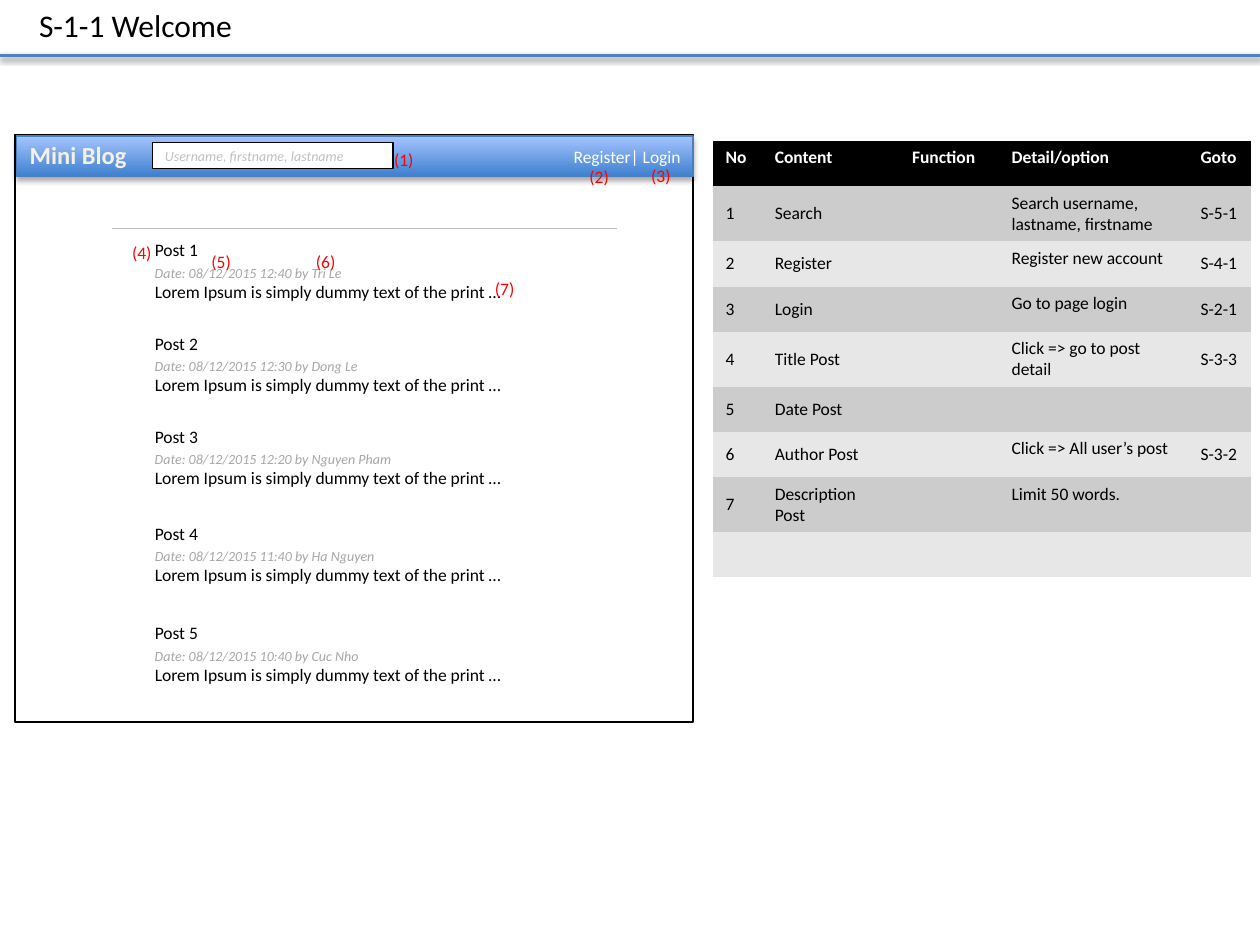
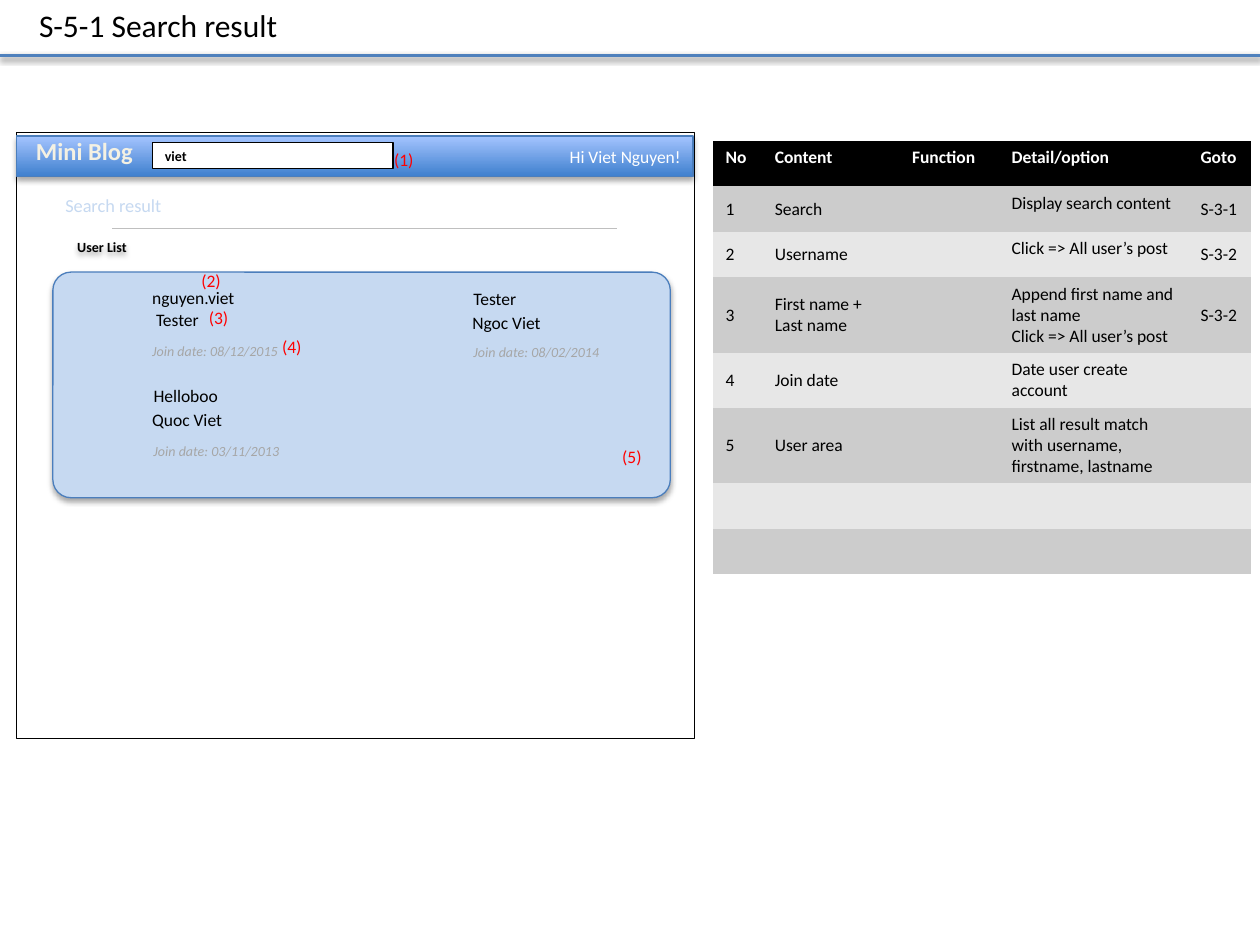
"""Build two annotated screen specifications for a small blog."""

from lxml.etree import SubElement
from pptx import Presentation
from pptx.dml.color import RGBColor
from pptx.enum.shapes import MSO_CONNECTOR, MSO_SHAPE
from pptx.enum.text import MSO_ANCHOR, MSO_AUTO_SIZE, PP_ALIGN
from pptx.oxml.ns import qn
from pptx.util import Inches, Pt

FONT = "Calibri"
BLACK, WHITE, RED = "000000", "FFFFFF", "FF0000"
RULE_BLUE, EDGE_BLUE, PALE_BLUE = "4F81BD", "4B7EBC", "C6D9F1"
BAR_BOTTOM, BAR_TOP = "3F80CE", "A4C4FF"
BRAND_CREAM, BRAND_OUTLINE = "F4F1E3", "054697"
NOTE_GRAY, HINT_GRAY = "A6A6A6", "BFBFBF"
ROW_FILLS = ("CCCCCC", "E7E7E7")
PLAIN_TABLE_STYLE = "{2D5ABB26-0587-4C30-8999-92F81FD0307C}"

TABLE_HEADER = ("No", "Content", "Function", "Detail/option", "Goto")
COLUMN_WIDTHS = (0.39, 1.09, 0.79, 1.5, 0.5)
ROW_HEIGHT = 0.36
DETAIL_COLUMN = 3

WELCOME_ROWS = (
    ("1", "Search", "", "Search username, lastname, firstname", "S-5-1"),
    ("2", "Register", "", "Register new account", "S-4-1"),
    ("3", "Login", "", "Go to page login", "S-2-1"),
    ("4", "Title Post", "", "Click => go to post detail", "S-3-3"),
    ("5", "Date Post", "", "", ""),
    ("6", "Author Post", "", "Click => All user’s post", "S-3-2"),
    ("7", "Description Post", "", "Limit 50 words.", ""),
    ("",) * 5,
)
SEARCH_ROWS = (
    ("1", "Search", "", "Display search content", "S-3-1"),
    ("2", "Username", "", "Click => All user’s post", "S-3-2"),
    ("3", "First name + Last name", "",
     "Append first name and last name\nClick => All user’s post", "S-3-2"),
    ("4", "Join date", "", "Date user create account", ""),
    ("5", "User area", "",
     "List all result match with username, firstname, lastname", ""),
    ("",) * 5,
    ("",) * 5,
)
POSTS = (
    (1.85, "12:40 by Tri Le", 1.74),
    (2.59, "12:30 by Dong Le", 1.86),
    (3.33, "12:20 by Nguyen Pham", 2.13),
    (4.10, "11:40 by Ha Nguyen", 1.99),
    (4.89, "10:40 by Cuc Nho", 1.87),
)
POST_SUMMARY = "Lorem Ipsum is simply dummy text of the print …"
WELCOME_MARKS = ((3.03, 1.13), (4.58, 1.27), (5.07, 1.26), (0.95, 1.87),
                 (1.58, 1.94), (2.41, 1.94), (3.83, 2.16))
SEARCH_MARKS = ((3.03, 1.13), (1.5, 2.09), (1.56, 2.39), (2.14, 2.62),
                (4.84, 3.49))
USERS = (
    (("nguyen.viet", 1.11, 2.23, 0.89), ("Tester", 1.14, 2.40, 0.74),
     ("Join date: 08/12/2015", 1.11, 2.67)),
    (("Tester", 3.66, 2.24, 0.56), ("Ngoc Viet", 3.65, 2.43, 1.19),
     ("Join date: 08/02/2014", 3.66, 2.68)),
    (("Helloboo", 1.12, 3.01, 0.72), ("Quoc Viet", 1.11, 3.20, 1.22),
     ("Join date: 03/11/2013", 1.12, 3.46)),
)


def rgb(color):
    """Turn a hex string into a colour."""
    return RGBColor.from_string(color)


def write_text(frame, text, *, size=10, color=BLACK, bold=False, italic=False,
               align=PP_ALIGN.LEFT, anchor=MSO_ANCHOR.TOP):
    """Fill a text frame with evenly formatted paragraphs."""
    frame.vertical_anchor = anchor
    for index, line in enumerate(text.split("\n")):
        paragraph = frame.add_paragraph() if index else frame.paragraphs[0]
        paragraph.alignment = align
        run = paragraph.add_run()
        run.text = line
        run.font.name, run.font.size = FONT, Pt(size)
        run.font.bold, run.font.italic = bold, italic
        run.font.color.rgb = rgb(color)


def add_label(shapes, text, left, top, width, height=0.27, wrap=False, **style):
    """Add a text box that fits its text."""
    box = shapes.add_textbox(Inches(left), Inches(top), Inches(width), Inches(height))
    write_text(box.text_frame, text, **style)
    box.text_frame.word_wrap = wrap
    box.text_frame.auto_size = MSO_AUTO_SIZE.SHAPE_TO_FIT_TEXT
    return box


def add_note(shapes, text, left, top, width):
    """Add a small gray italic note."""
    add_label(shapes, text, left, top, width, 0.24, size=8, color=NOTE_GRAY, italic=True)


def add_marks(slide, positions):
    """Number the given positions in red."""
    for number, (left, top) in enumerate(positions, start=1):
        add_label(slide.shapes, f"({number})", left, top, 0.36, color=RED)


def cast_shadow(effects, alpha, distance):
    """Put a soft downward shadow in an effect list."""
    shadow = SubElement(effects, qn("a:outerShdw"), blurRad=str(Pt(3.1)),
                        dist=str(Pt(distance)), dir="5400000", rotWithShape="0")
    color = SubElement(shadow, qn("a:srgbClr"), val=BLACK)
    SubElement(color, qn("a:alpha"), val=str(alpha * 1000))


def add_box(slide, left, top, width, height, *, kind=MSO_SHAPE.RECTANGLE,
            fill=WHITE, line=BLACK, shadow=False):
    """Add a preset shape with an optional fill, outline and shadow."""
    shape = slide.shapes.add_shape(kind, Inches(left), Inches(top),
                                   Inches(width), Inches(height))
    if fill:
        shape.fill.solid()
        shape.fill.fore_color.rgb = rgb(fill)
    else:
        shape.fill.background()
    if line:
        shape.line.color.rgb = rgb(line)
        shape.line.width = Pt(0.75)
    else:
        shape.line.fill.background()
    shape.shadow.inherit = False
    if shadow:
        cast_shadow(shape._element.spPr.find(qn("a:effectLst")), 35, 1.8)
    return shape


def add_rule(slide, left, right, top, color, width, shadow=False):
    """Add a horizontal line."""
    rule = slide.shapes.add_connector(MSO_CONNECTOR.STRAIGHT, Inches(left), Inches(top),
                                      Inches(right), Inches(top))
    rule.line.color.rgb = rgb(color)
    rule.line.width = Pt(width)
    effects = SubElement(rule._element.spPr, qn("a:effectLst"))
    if shadow:
        cast_shadow(effects, 38, 1.6)


def add_title(slide, text):
    """Place the slide title above its blue rule."""
    title = slide.shapes.title
    title.left, title.top = Inches(0.21), Inches(0)
    title.width, title.height = Inches(5), Inches(0.4)
    write_text(title.text_frame, text, size=18)
    title.text_frame.auto_size = MSO_AUTO_SIZE.NONE
    add_rule(slide, 0, 10, 0.44, RULE_BLUE, 2, shadow=True)


def add_brand(slide, left, top):
    """Add the outlined blog name."""
    brand = add_label(slide.shapes, "Mini Blog", left, top, 0.98, 0.34, size=14,
                      color=BRAND_CREAM, bold=True, align=PP_ALIGN.CENTER)
    properties = brand.text_frame.paragraphs[0].runs[0].font._element
    outline = SubElement(properties, qn("a:ln"), w=str(Pt(1)))
    fill = SubElement(outline, qn("a:solidFill"))
    SubElement(fill, qn("a:srgbClr"), val=BRAND_OUTLINE)
    properties.insert(0, outline)


def add_header(slide, account, brand_position, query, **query_style):
    """Add the gradient bar with brand, search field and account text."""
    bar = add_box(slide, 0.13, 1.08, 5.37, 0.32, line=EDGE_BLUE, shadow=True)
    bar.fill.gradient()
    bar.fill.gradient_angle = 90
    for stop, color in zip(bar.fill.gradient_stops, (BAR_BOTTOM, BAR_TOP)):
        stop.color.rgb = rgb(color)
    write_text(bar.text_frame, account, color=WHITE, align=PP_ALIGN.RIGHT,
               anchor=MSO_ANCHOR.MIDDLE)
    add_brand(slide, *brand_position)
    field = add_box(slide, 1.21, 1.13, 1.91, 0.21)
    write_text(field.text_frame, query, size=8, anchor=MSO_ANCHOR.MIDDLE, **query_style)
    add_rule(slide, 0.89, 4.9, 1.81, HINT_GRAY, 0.25)


def add_specification(slide, body):
    """Add the table that explains the numbered marks."""
    rows = (TABLE_HEADER, *body)
    frame = slide.shapes.add_table(
        len(rows), len(TABLE_HEADER), Inches(5.66), Inches(1.12),
        Inches(sum(COLUMN_WIDTHS)), Inches(ROW_HEIGHT * len(rows)))
    table = frame.table
    table._tbl.tblPr.find(qn("a:tableStyleId")).text = PLAIN_TABLE_STYLE
    for column, width in zip(table.columns, COLUMN_WIDTHS):
        column.width = Inches(width)
    for row_index, values in enumerate(rows):
        table.rows[row_index].height = Inches(ROW_HEIGHT)
        is_header = row_index == 0
        for column_index, text in enumerate(values):
            cell = table.cell(row_index, column_index)
            cell.fill.solid()
            cell.fill.fore_color.rgb = rgb(BLACK if is_header else ROW_FILLS[(row_index - 1) % 2])
            if not text:
                paragraph = cell.text_frame.paragraphs[0]
                paragraph._p.get_or_add_endParaRPr().set("sz", "1000")
                continue
            write_text(cell.text_frame, text, bold=is_header,
                       color=WHITE if is_header else BLACK)
            at_top = is_header or column_index == DETAIL_COLUMN
            cell.vertical_anchor = MSO_ANCHOR.TOP if at_top else MSO_ANCHOR.MIDDLE


def add_post(slide, number, top, byline, byline_width):
    """Add a post's title, date line and summary."""
    left = 1.13
    add_label(slide.shapes, f"Post {number}", left, top, 0.55)
    add_note(slide.shapes, f"Date: 08/12/2015 {byline}", left, top + 0.2, byline_width)
    add_label(slide.shapes, POST_SUMMARY, left, top + 0.33, 3.51, wrap=True,
              align=PP_ALIGN.JUSTIFY)


def add_user(slide, username, full_name, joined):
    """Add one grouped search hit."""
    shapes = slide.shapes.add_group_shape().shapes
    add_label(shapes, *username)
    add_label(shapes, *full_name, wrap=True, align=PP_ALIGN.JUSTIFY)
    add_note(shapes, *joined, 1.24)


def build_welcome(slide):
    """Build the welcome screen."""
    add_title(slide, "S-1-1 Welcome")
    add_box(slide, 0.12, 1.07, 5.38, 4.66)
    add_header(slide, "Register| Login", (0.13, 1.06), "Username, firstname, lastname",
               color=HINT_GRAY, italic=True)
    add_specification(slide, WELCOME_ROWS)
    for number, post in enumerate(POSTS, start=1):
        add_post(slide, number, *post)
    add_marks(slide, WELCOME_MARKS)


def build_search_result(slide):
    """Build the search result screen."""
    add_title(slide, "S-5-1 Search result")
    add_box(slide, 0.13, 1.05, 5.38, 4.81)
    area = add_box(slide, 0.42, 2.16, 4.9, 1.79, kind=MSO_SHAPE.ROUNDED_RECTANGLE,
                   fill=PALE_BLUE, line=EDGE_BLUE, shadow=True)
    area.adjustments[0] = 0.08
    add_header(slide, "Hi Viet Nguyen!", (0.18, 1.03), "viet", bold=True)
    add_label(slide.shapes, "Search result", 0.42, 1.49, 0.98, 0.28, size=10.5,
              color=PALE_BLUE)
    add_specification(slide, SEARCH_ROWS)
    for user in USERS:
        add_user(slide, *user)
    heading = add_box(slide, 0.41, 1.82, 0.8, 0.28, kind=MSO_SHAPE.ROUNDED_RECTANGLE,
                      fill=None, line=None, shadow=True)
    write_text(heading.text_frame, "User List", size=8, bold=True,
               align=PP_ALIGN.CENTER, anchor=MSO_ANCHOR.MIDDLE)
    add_marks(slide, SEARCH_MARKS)


def main():
    """Build and save the presentation."""
    presentation = Presentation()
    presentation.slide_width, presentation.slide_height = Inches(10), Inches(7.5)
    title_only = presentation.slide_layouts[5]
    for build in (build_welcome, build_search_result):
        build(presentation.slides.add_slide(title_only))
    presentation.save("out.pptx")


if __name__ == "__main__":
    main()
